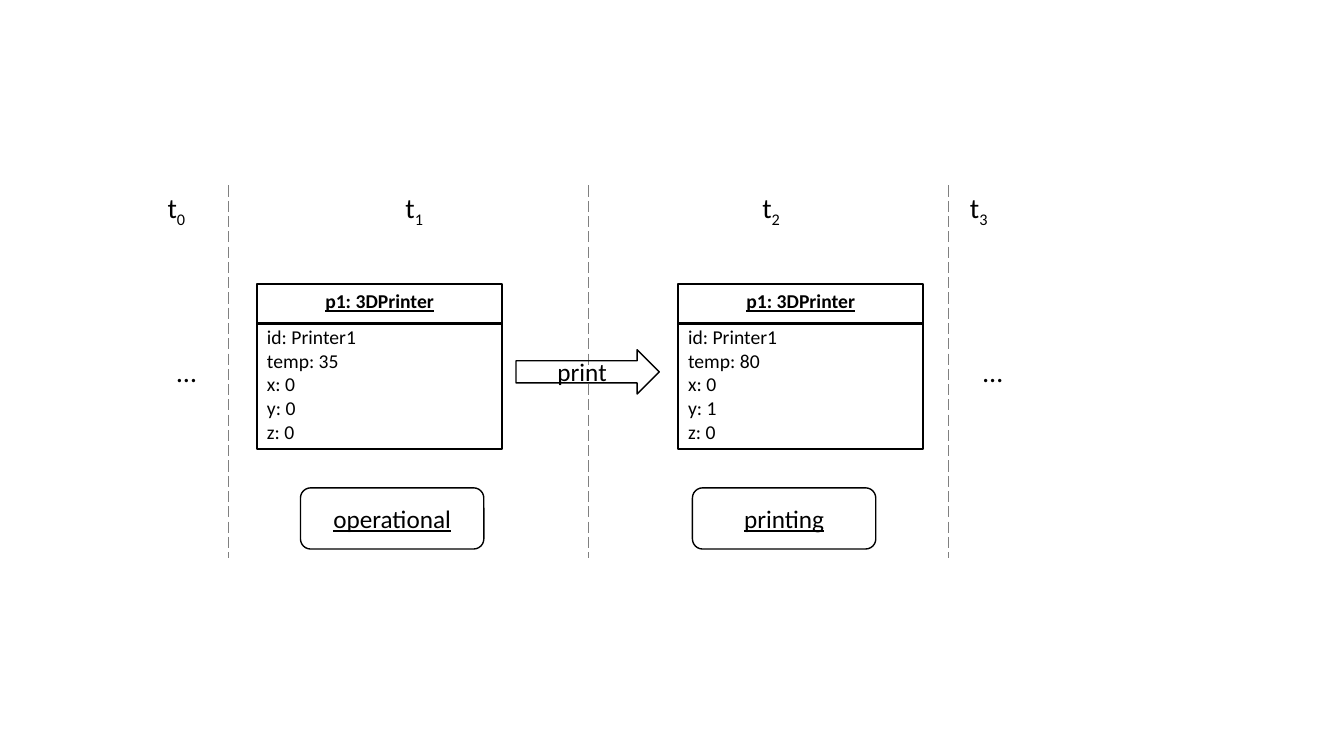
from dataclasses import dataclass

import pptx
import pptx.dml.color
import pptx.enum.dml
import pptx.enum.shapes
import pptx.enum.text
import pptx.oxml
import pptx.oxml.ns
import pptx.shapes.autoshape
import pptx.shapes.shapetree
import pptx.slide
import pptx.text.text
import pptx.util

BLACK = pptx.dml.color.RGBColor(0x00, 0x00, 0x00)
GRAY = pptx.dml.color.RGBColor(0x80, 0x80, 0x80)
FONT_NAME = "Calibri"
SHAPES = pptx.enum.shapes.MSO_SHAPE
CENTER = pptx.enum.text.PP_ALIGN.CENTER
LEFT = pptx.enum.text.PP_ALIGN.LEFT
Pt = pptx.util.Pt

LABEL_WIDTH, LABEL_HEIGHT = 44.6, 31.7
TIMELINE_TOP, TIMELINE_BOTTOM = 132.5, 398.9
DIVIDER_LEFT, DIVIDER_STEP = 163.4, 257
OBJECT_TOP, OBJECT_WIDTH, OBJECT_HEIGHT = 203, 175.2, 117.6
HEADER_BOTTOM = 231.1


@dataclass
class Label:
    left: float
    top: float
    text: str
    subscript: str = ""


@dataclass
class Node:
    kind: pptx.enum.shapes.MSO_SHAPE
    left: float
    top: float
    width: float
    height: float
    text: str
    underline: bool


@dataclass
class PrinterState:
    left: float
    temperature: int
    y: int


LABELS = [
    Label(110.9, 249.8, "…"),
    Label(686.9, 249.8, "…"),
    Label(103.7, TIMELINE_TOP, "t", "0"),
    Label(273.6, TIMELINE_TOP, "t", "1"),
    Label(528.5, TIMELINE_TOP, "t", "2"),
    Label(676.8, TIMELINE_TOP, "t", "3"),
]
NODES = [
    Node(SHAPES.RIGHT_ARROW, 368.6, 249.8, 102.4, 31.7, "print", False),
    Node(SHAPES.ROUNDED_RECTANGLE, 214.6, 348.5, 131, 43.7, "operational", True),
    Node(SHAPES.ROUNDED_RECTANGLE, 494.6, 348.5, 131, 43.7, "printing", True),
]
STATES = [PrinterState(183.6, 35, 0), PrinterState(484.4, 80, 1)]


def add_run(
    paragraph: pptx.text.text._Paragraph,
    text: str,
    size: float,
    bold: bool = False,
    underline: bool = False,
    baseline: int = 0,
) -> None:
    run = paragraph.add_run()
    run.text = text
    run.font.name = FONT_NAME
    run.font.size = Pt(size)
    run.font.bold = bold
    run.font.underline = underline
    run.font.color.rgb = BLACK
    if baseline:
        run._r.get_or_add_rPr().set("baseline", str(baseline))


def add_line(
    shapes: pptx.shapes.shapetree._BaseGroupShapes,
    start: tuple[float, float],
    end: tuple[float, float],
    color: pptx.dml.color.RGBColor,
    width: float,
    dashed: bool = False,
) -> None:
    connector = shapes.add_connector(
        pptx.enum.shapes.MSO_CONNECTOR.STRAIGHT, *map(Pt, start + end)
    )
    connector.line.color.rgb = color
    connector.line.width = Pt(width)
    if dashed:
        connector.line.dash_style = pptx.enum.dml.MSO_LINE.LONG_DASH
    connector._element.spPr.append(
        pptx.oxml.parse_xml(f"<a:effectLst {pptx.oxml.ns.nsdecls('a')}/>")
    )


def add_outline(
    shapes: pptx.shapes.shapetree._BaseGroupShapes,
    kind: pptx.enum.shapes.MSO_SHAPE,
    left: float,
    top: float,
    width: float,
    height: float,
    line_width: float,
) -> pptx.shapes.autoshape.Shape:
    shape = shapes.add_shape(kind, Pt(left), Pt(top), Pt(width), Pt(height))
    shape.shadow.inherit = False
    shape.fill.background()
    shape.line.color.rgb = BLACK
    shape.line.width = Pt(line_width)
    shape.text_frame.word_wrap = True
    return shape


def add_label(slide: pptx.slide.Slide, label: Label) -> None:
    box = slide.shapes.add_textbox(
        Pt(label.left), Pt(label.top), Pt(LABEL_WIDTH), Pt(LABEL_HEIGHT)
    )
    box.text_frame.word_wrap = True
    paragraph = box.text_frame.paragraphs[0]
    paragraph.alignment = CENTER
    add_run(paragraph, label.text, 20)
    if label.subscript:
        add_run(paragraph, label.subscript, 20, baseline=-25000)


def add_node(slide: pptx.slide.Slide, node: Node) -> None:
    shape = add_outline(
        slide.shapes, node.kind, node.left, node.top, node.width, node.height, 1
    )
    shape.text_frame.vertical_anchor = pptx.enum.text.MSO_ANCHOR.MIDDLE
    paragraph = shape.text_frame.paragraphs[0]
    paragraph.alignment = CENTER
    add_run(paragraph, node.text, 18, underline=node.underline)


def add_printer(slide: pptx.slide.Slide, state: PrinterState) -> None:
    group = slide.shapes.add_group_shape()
    shape = add_outline(
        group.shapes, SHAPES.RECTANGLE,
        state.left, OBJECT_TOP, OBJECT_WIDTH, OBJECT_HEIGHT, 1.5,
    )
    frame = shape.text_frame
    frame.vertical_anchor = pptx.enum.text.MSO_ANCHOR.TOP
    title = frame.paragraphs[0]
    title.alignment = CENTER
    add_run(title, "p1: 3DPrinter", 14, bold=True, underline=True)
    attributes = [
        "id: Printer1", f"temp: {state.temperature}", "x: 0", f"y: {state.y}", "z: 0",
    ]
    for index, attribute in enumerate(attributes):
        paragraph = frame.add_paragraph()
        paragraph.alignment = LEFT
        paragraph.space_before = Pt(9 if index == 0 else 0)
        add_run(paragraph, attribute, 14)
    right = state.left + OBJECT_WIDTH
    add_line(
        group.shapes, (state.left, HEADER_BOTTOM), (right, HEADER_BOTTOM), BLACK, 1.5
    )


def main() -> None:
    presentation = pptx.Presentation()
    presentation.slide_width = Pt(960)
    presentation.slide_height = Pt(540)
    slide = presentation.slides.add_slide(presentation.slide_layouts[6])
    for index in range(3):
        x = DIVIDER_LEFT + index * DIVIDER_STEP
        add_line(
            slide.shapes, (x, TIMELINE_TOP), (x, TIMELINE_BOTTOM), GRAY, 1, dashed=True
        )
    for label in LABELS:
        add_label(slide, label)
    for node in NODES:
        add_node(slide, node)
    for state in STATES:
        add_printer(slide, state)
    presentation.save("out.pptx")


if __name__ == "__main__":
    main()
